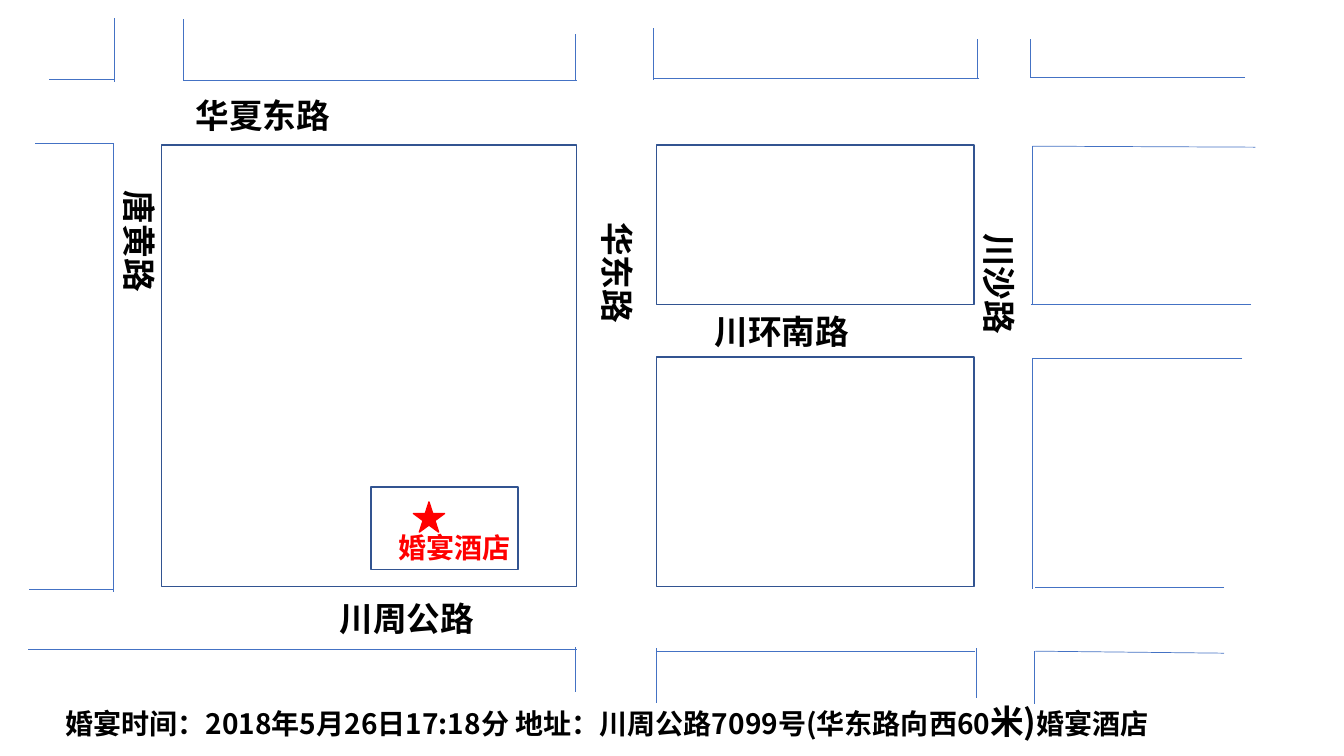
from typing import NamedTuple

from lxml import etree
from pptx import Presentation
from pptx.dml.color import RGBColor
from pptx.enum.shapes import MSO_CONNECTOR, MSO_SHAPE
from pptx.enum.text import MSO_ANCHOR, MSO_AUTO_SIZE, PP_ALIGN
from pptx.oxml.ns import qn
from pptx.util import Inches, Pt

STRAIGHT = MSO_CONNECTOR.STRAIGHT
RECTANGLE, STAR = MSO_SHAPE.RECTANGLE, MSO_SHAPE.STAR_5_POINT
TOP, MIDDLE = MSO_ANCHOR.TOP, MSO_ANCHOR.MIDDLE
JUSTIFY, CENTER = PP_ALIGN.JUSTIFY, PP_ALIGN.CENTER
FIT_SHAPE, FIT_NONE = MSO_AUTO_SIZE.SHAPE_TO_FIT_TEXT, MSO_AUTO_SIZE.NONE

FONT = "Noto Sans CJK SC"
COLORS = {"curb": "4472C4", "block": "325491", "hotel": "FF0000", "text": "000000"}
HOTEL = "婚宴酒店"


class Area(NamedTuple):
    left: float
    top: float
    width: float
    height: float


class Curb(NamedTuple):
    x1: float
    y1: float
    x2: float
    y2: float


class Span(NamedTuple):
    text: str
    size: int


class Road(NamedTuple):
    name: str
    area: Area
    rotation: int = 0


BLOCKS = [
    Area(1.6, 1.44, 4.12, 4.38),
    Area(6.51, 1.44, 3.15, 1.58),
    Area(6.51, 3.54, 3.15, 2.28),
    Area(3.68, 4.83, 1.46, 0.82),
]

NORTH_CURBS = [
    Curb(1.13, 0.18, 1.13, 0.81),
    Curb(1.14, 0.79, 0.49, 0.79),
    Curb(1.82, 0.79, 1.82, 0.19),
    Curb(5.72, 0.8, 1.82, 0.8),
    Curb(5.71, 0.34, 5.71, 0.8),
    Curb(6.48, 0.28, 6.48, 0.79),
    Curb(9.71, 0.78, 6.49, 0.78),
    Curb(9.69, 0.39, 9.69, 0.77),
    Curb(10.22, 0.39, 10.22, 0.77),
    Curb(12.35, 0.77, 10.22, 0.77),
]
WEST_CURBS = [
    Curb(1.12, 1.42, 0.35, 1.42),
    Curb(1.12, 1.42, 1.12, 5.87),
    Curb(1.12, 5.85, 0.29, 5.85),
]
EAST_CURBS = [
    Curb(12.45, 1.46, 10.24, 1.45),
    Curb(10.24, 1.45, 10.24, 3.02),
    Curb(12.41, 3.02, 10.23, 3.02),
    Curb(12.32, 3.56, 10.25, 3.56),
    Curb(10.24, 3.55, 10.24, 5.84),
    Curb(12.14, 5.83, 10.27, 5.83),
]
SOUTH_CURBS = [
    Curb(5.72, 6.44, 0.28, 6.44),
    Curb(5.71, 6.42, 5.71, 6.87),
    Curb(6.51, 6.43, 6.51, 6.97),
    Curb(9.67, 6.46, 6.52, 6.46),
    Curb(9.68, 6.92, 9.68, 6.43),
    Curb(10.26, 6.98, 10.26, 6.46),
    Curb(10.27, 6.46, 12.14, 6.48),
]

ROADS = [
    Road("华夏东路", Area(1.84, 0.89, 8.89, 0.5)),
    Road("川环南路", Area(6.99, 3.04, 2.28, 0.5)),
    Road("川周公路", Area(3.27, 5.88, 6.12, 0.5)),
    Road("唐黄路", Area(-0.66, 3.59, 4.09, 0.5), 90),
    Road("华东路", Area(4.81, 3.16, 2.62, 0.51), 90),
    Road("川沙路", Area(8.79, 3.09, 2.25, 0.5), 90),
]

INVITATION = [
    Span("婚宴时间：2018年5月26日17:18分 地址：川周公路7099号(华东路向西60", 20),
    Span("米)", 24),
    Span(HOTEL, 20),
]


def color(name: str) -> RGBColor:
    return RGBColor.from_string(COLORS[name])


def add_curb(page, curb: Curb) -> None:
    line = page.shapes.add_connector(STRAIGHT, *map(Inches, curb))
    line.line.color.rgb = color("curb")
    line.line.width = Pt(0.5)
    etree.SubElement(line._element.spPr, qn("a:effectLst"))


def add_outline(page, kind, area: Area, *, line: str, fill: str | None = None) -> None:
    shape = page.shapes.add_shape(kind, *map(Inches, area))
    shape.shadow.inherit = False
    shape.line.color.rgb = color(line)
    shape.line.width = Pt(1)
    if fill is None:
        shape.fill.background()
    else:
        shape.fill.solid()
        shape.fill.fore_color.rgb = color(fill)


def add_text(page, spans: list[Span], area: Area, *, ink: str = "text",
             align=JUSTIFY, anchor=TOP, fit=FIT_SHAPE, rotation: int = 0) -> None:
    box = page.shapes.add_textbox(*map(Inches, area))
    box.rotation = rotation
    frame = box.text_frame
    frame.word_wrap = True
    frame.auto_size = fit
    frame.vertical_anchor = anchor
    para = frame.paragraphs[0]
    para.alignment = align
    for span in spans:
        run = para.add_run()
        run.text = span.text
        run.font.size = Pt(span.size)
        run.font.bold = True
        run.font.name = FONT
        run.font.color.rgb = color(ink)
        east_asian = etree.SubElement(run.font._element, qn("a:ea"))
        east_asian.set("typeface", FONT)


def main() -> None:
    deck = Presentation()
    deck.slide_width, deck.slide_height = Inches(13.33), Inches(7.5)
    page = deck.slides.add_slide(deck.slide_layouts[6])
    for block in BLOCKS:
        add_outline(page, RECTANGLE, block, line="block")
    for curb in NORTH_CURBS + WEST_CURBS + EAST_CURBS + SOUTH_CURBS:
        add_curb(page, curb)
    for road in ROADS:
        add_text(page, [Span(road.name, 24)], road.area, rotation=road.rotation)
    add_outline(page, STAR, Area(4.1, 4.98, 0.31, 0.3), line="hotel", fill="hotel")
    add_text(page, [Span(HOTEL, 20)], Area(3.7, 5.07, 1.62, 0.72), ink="hotel",
             align=CENTER, anchor=MIDDLE, fit=FIT_NONE)
    add_text(page, INVITATION, Area(0.55, 6.9, 12.08, 0.5))
    deck.save("out.pptx")


if __name__ == "__main__":
    main()
